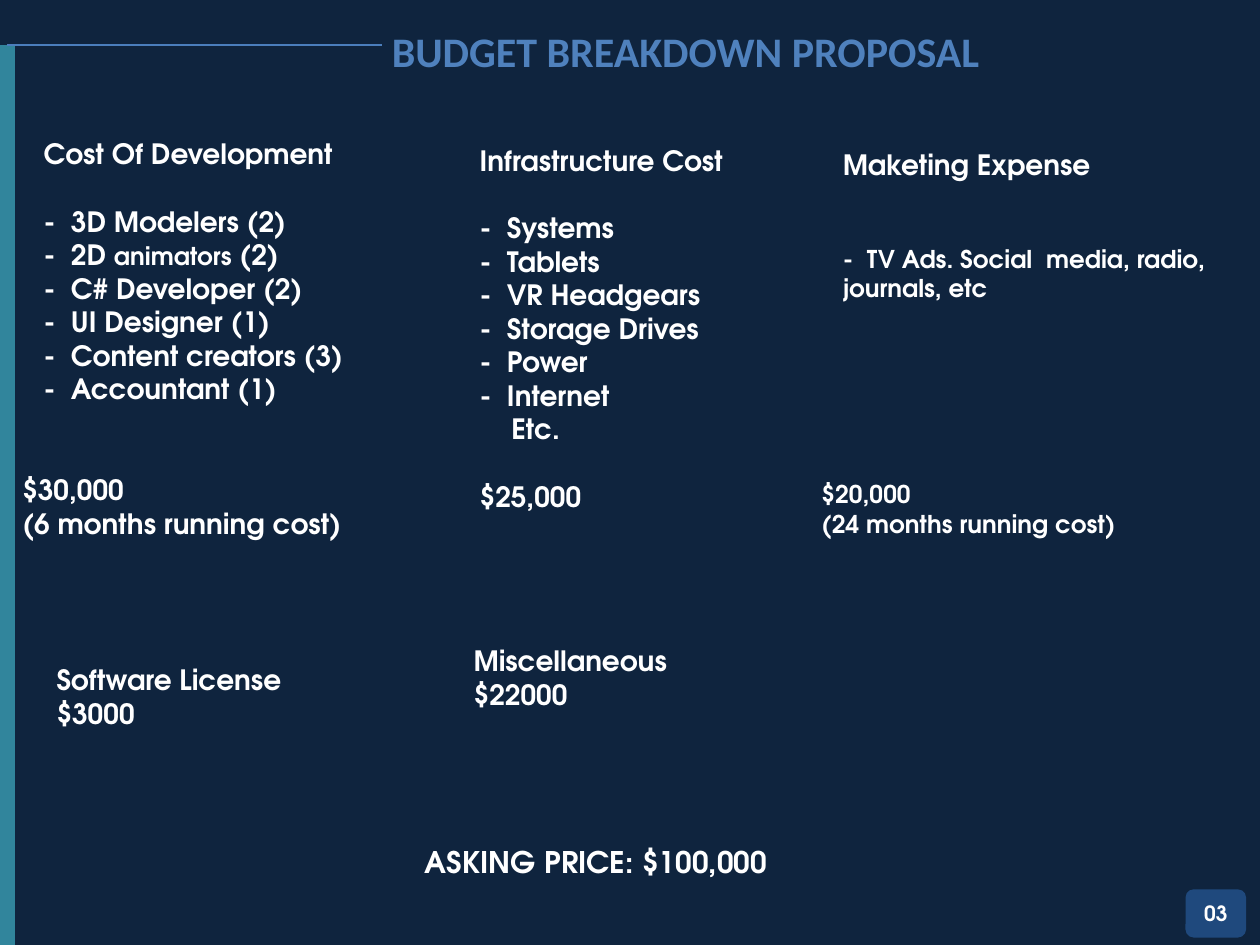
import pptx
import pptx.dml.color
import pptx.enum.shapes
import pptx.enum.text
import pptx.util
from lxml import etree
from pptx.util import Cm, Pt

COLORS = {
    "background": "0F243E",
    "badge": "1F497D",
    "title": "4F81BD",
    "bar": "31859C",
    "rule": "4B7EBC",
    "text": "FFFFFF",
}
BODY_FONT = "TeX Gyre Adventor"
TITLE_FONT = "Calibri"
INDENT = Cm(0.43)
DEEP_INDENT = Cm(1.07)
LINE_FACTOR = 1.2  # line pitch of the body font, relative to its size

PPT_SHAPE = pptx.enum.shapes.MSO_SHAPE
ALIGN = pptx.enum.text.PP_ALIGN
MIDDLE = pptx.enum.text.MSO_ANCHOR.MIDDLE


def color(name):
    return pptx.dml.color.RGBColor.from_string(COLORS[name])


def add_span(para, text, size, font=BODY_FONT, fill="text"):
    span = para.add_run()
    span.text = text
    span.font.name = font
    span.font.size = Pt(size)
    span.font.bold = True
    span.font.color.rgb = color(fill)


def add_block(page, box):
    """Add a wrapping text box with equal insets and return its frame."""
    frame = page.shapes.add_textbox(*box).text_frame
    frame.word_wrap = True
    frame.margin_left = frame.margin_right = Cm(0.25)
    frame.margin_top = frame.margin_bottom = Cm(0.25)
    return frame


def add_lines(frame, lines, indent=0, gap=0):
    """Add lines of (text, size) spans; gap is the space in points above the first."""
    for number, spans in enumerate(lines):
        first = frame.paragraphs[0]
        para = frame.add_paragraph() if first.runs else first
        para._p.get_or_add_pPr().set("marL", str(int(indent)))
        para.space_before = Pt(gap if number == 0 else 0)
        for text, size in spans:
            add_span(para, text, size)


def plain(size, *texts):
    return [[(text, size)] for text in texts]


def add_solid(page, preset, box, fill):
    shape = page.shapes.add_shape(preset, *box)
    shape.shadow.inherit = False
    shape.fill.solid()
    shape.fill.fore_color.rgb = color(fill)
    shape.line.fill.background()
    return shape


def add_header(page, box):
    left, top, width, height = box
    frame = page.shapes.add_textbox(left, top, width, height).text_frame
    frame.word_wrap = True
    frame.vertical_anchor = MIDDLE
    para = frame.paragraphs[0]
    para.alignment = ALIGN.CENTER
    add_span(para, "BUDGET BREAKDOWN PROPOSAL", 24, TITLE_FONT, "title")


def add_side_rule(page, box):
    """Draw the vertical bar and the thin line that starts at its top."""
    left, top, width, height = box
    add_solid(page, PPT_SHAPE.RECTANGLE, box, "bar")
    rule = page.shapes.add_connector(
        pptx.enum.shapes.MSO_CONNECTOR.STRAIGHT,
        left + width // 2, top, left + Cm(7.7), top)
    rule.line.color.rgb = color("rule")
    rule.line.width = Pt(0.75)
    properties = rule._element.spPr
    etree.SubElement(properties, pptx.oxml.ns.qn("a:effectLst"))


def add_cost_column(page, box, heading, items, price, size,
                    item_gap, price_gap, tail=(), price_indent=0):
    """Add a heading, its items and its price; gaps are in points."""
    frame = add_block(page, box)
    add_lines(frame, plain(16, heading), INDENT)
    add_lines(frame, items, INDENT, item_gap)
    add_lines(frame, plain(size, *tail), DEEP_INDENT)
    add_lines(frame, plain(size, *price), price_indent, price_gap)


def add_note(page, box, size, *texts):
    add_lines(add_block(page, box), plain(size, *texts))


def add_page_number(page, box, number):
    badge = add_solid(page, PPT_SHAPE.ROUNDED_RECTANGLE, box, "badge")
    frame = badge.text_frame
    frame.word_wrap = False
    frame.vertical_anchor = MIDDLE
    para = frame.paragraphs[0]
    para.alignment = ALIGN.CENTER
    add_span(para, number, 12)


def add_budget_page(deck):
    page = deck.slides.add_slide(deck.slide_layouts[6])
    page.background.fill.solid()
    page.background.fill.fore_color.rgb = color("background")
    large, small = 16 * LINE_FACTOR, 14 * LINE_FACTOR

    add_page_number(page, (Cm(23.9), Cm(17.93), Cm(1.22), Cm(0.97)), "03")
    add_header(page, (Cm(2.39), Cm(0.15), Cm(22.86), Cm(1.75)))
    add_side_rule(page, (Cm(0), Cm(0.91), Cm(0.3), Cm(18.14)))

    team = plain(16, "-  3D Modelers (2)")
    team.append([("-  2D ", 16), ("animators", 14), (" (2)", 16)])
    team += plain(16, "-  C# Developer (2)", "-  UI Designer (1)",
                  "-  Content creators (3)", "-  Accountant (1)")
    add_cost_column(
        page, (Cm(0.2), Cm(2.51), Cm(9.8), Cm(8.56)), "Cost Of Development",
        team, ("$30,000", "(6 months running cost)"), 16, large, 2 * large)

    equipment = plain(16, "-  Systems", "-  Tablets", "-  VR Headgears",
                      "-  Storage Drives", "-  Power", "-  Internet")
    add_cost_column(
        page, (Cm(8.99), Cm(2.64), Cm(7.75), Cm(7.87)), "Infrastructure Cost",
        equipment, ("$25,000",), 16, large, large,
        tail=("Etc.",), price_indent=INDENT)

    channels = plain(14, "-  TV Ads. Social  media, radio, journals, etc")
    add_cost_column(
        page, (Cm(16.31), Cm(2.72), Cm(8.81), Cm(8.05)), "Maketing Expense",
        channels, ("$20,000", "(24 months running cost)"), 14,
        large + small, 6 * small)

    add_note(page, (Cm(9.3), Cm(12.73), Cm(7.01), Cm(1.88)), 16,
             "Miscellaneous", "$22000")
    add_note(page, (Cm(0.89), Cm(13.11), Cm(7.01), Cm(1.88)), 16,
             "Software License", "$3000")
    add_note(page, (Cm(8.31), Cm(16.76), Cm(9.12), Cm(1.24)), 17,
             "ASKING PRICE: $100,000")


def main():
    deck = pptx.Presentation()
    deck.slide_width, deck.slide_height = Cm(25.4), Cm(19.05)
    add_budget_page(deck)
    deck.save("out.pptx")


if __name__ == "__main__":
    main()
